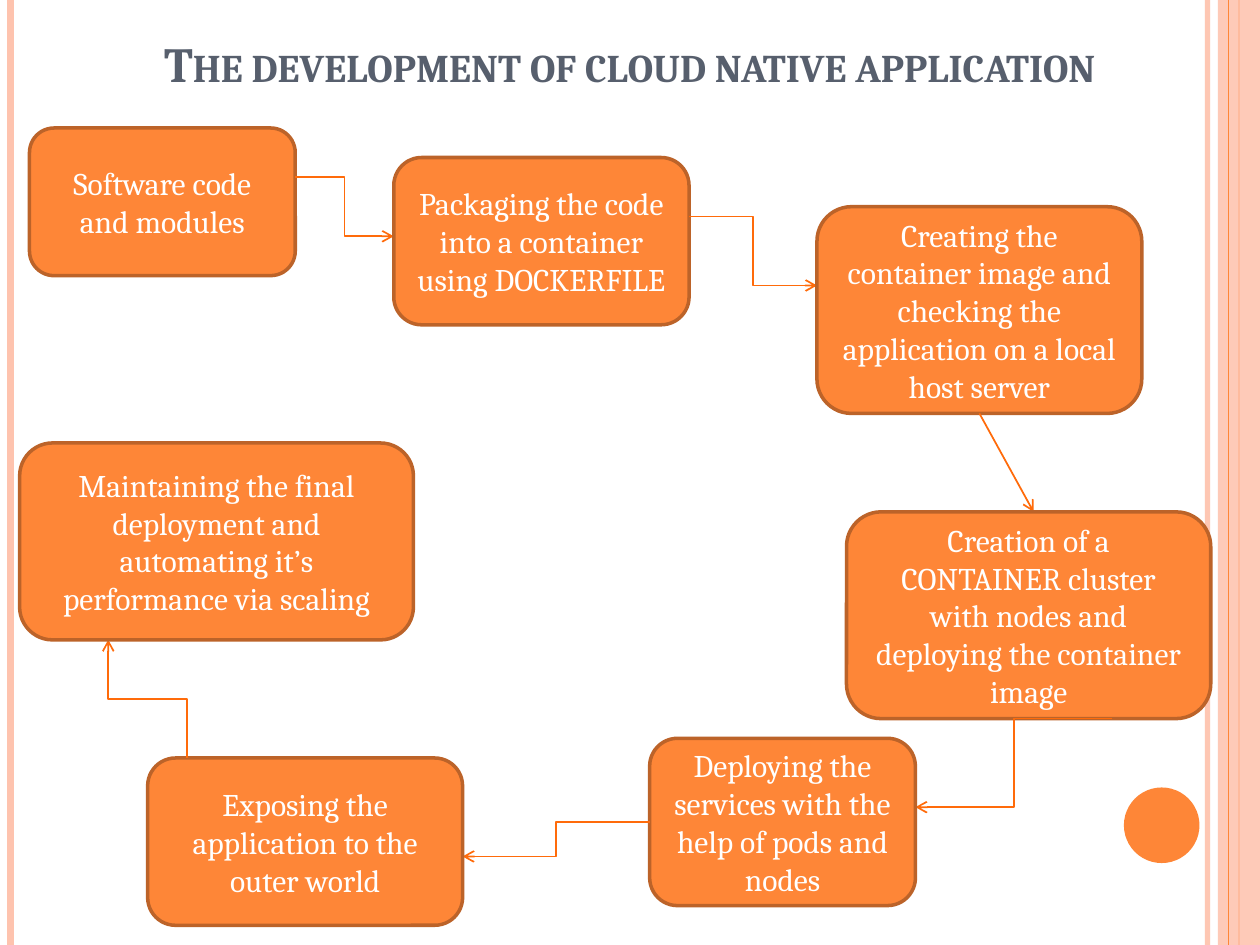
from dataclasses import dataclass

from pptx import Presentation
from pptx.dml.color import RGBColor
from pptx.enum.shapes import MSO_CONNECTOR, MSO_SHAPE
from pptx.enum.text import MSO_ANCHOR, PP_ALIGN
from pptx.oxml.ns import qn
from pptx.util import Pt
from lxml import etree

STRAIGHT, ELBOW = MSO_CONNECTOR.STRAIGHT, MSO_CONNECTOR.ELBOW
RECT, OVAL, ROUND = MSO_SHAPE.RECTANGLE, MSO_SHAPE.OVAL, MSO_SHAPE.ROUNDED_RECTANGLE
CENTER, MIDDLE, BOTTOM = PP_ALIGN.CENTER, MSO_ANCHOR.MIDDLE, MSO_ANCHOR.BOTTOM


@dataclass(frozen=True)
class Theme:
    font: str = "Cambria"
    head: int = 28
    body: int = 18
    ink: str = "575F6D"
    white: str = "FFFFFF"
    main: str = "FE8637"
    edge: str = "BC6329"
    link: str = "FF6B0A"
    pale: str = "FEC3AE"


THEME = Theme()
GRID = 45 / 8  # points per grid step of the flow

# Step text with left, top, width, height in grid steps
STEPS = [
    ("Software code and modules", 3, 13, 27, 15),
    ("Packaging the code into a container using DOCKERFILE", 40, 16, 30, 17),
    ("Creating the container image and checking the application on a local host server",
     83, 21, 33, 21),
    ("Creation of a CONTAINER cluster with nodes and deploying the container image",
     86, 52, 37, 21),
    ("Deploying the services with the help of pods and nodes", 66, 75, 27, 17),
    ("Exposing the application to the outer world", 15, 77, 32, 17),
    ("Maintaining the final deployment and automating it’s performance via scaling",
     2, 45, 40, 20),
]

# Link after each step: kind, turned upright, start and end in grid steps
LINKS = [
    (ELBOW, False, 30, 18, 40, 24),
    (ELBOW, False, 70, 22, 83, 29),
    (STRAIGHT, False, 99.5, 42, 105, 52),
    (ELBOW, False, 113, 73, 93, 82),
    (ELBOW, False, 66, 83.5, 47, 87),
    (ELBOW, True, 19, 77, 11, 65),
]


def rgb(code):
    return RGBColor.from_string(code)


def fade(part, share):
    """Set the opacity of the part's colour in percent."""
    color = next(part._element.spPr.iter(qn("a:srgbClr")))
    etree.SubElement(color, qn("a:alpha"), val=str(share * 1000))


def add_line(slide, kind, ends, color, width):
    line = slide.shapes.add_connector(kind, *(Pt(v) for v in ends))
    line.line.color.rgb = rgb(color)
    line.line.width = Pt(width)
    etree.SubElement(line._element.spPr, qn("a:effectLst"))
    return line


def add_form(slide, kind, box, fill, edge=None):
    form = slide.shapes.add_shape(kind, *(Pt(v) for v in box))
    form.shadow.inherit = False
    form.fill.solid()
    form.fill.fore_color.rgb = rgb(fill)
    if edge:
        form.line.color.rgb = rgb(edge)
        form.line.width = Pt(2)
    else:
        form.line.fill.background()
    return form


def set_text(shape, text, size, color, anchor, bold=False):
    frame = shape.text_frame
    frame.word_wrap = True
    frame.vertical_anchor = anchor
    frame.text = text
    para = frame.paragraphs[0]
    para.alignment = CENTER
    run = para.runs[0]
    run.font.name, run.font.size = THEME.font, Pt(size)
    run.font.bold = bold
    run.font.color.rgb = rgb(color)
    return run


def add_link(slide, kind, upright, ends):
    x1, y1, x2, y2 = ends
    if upright:
        # Lay the ends flat about their centre; the turn stands them up again
        mid_x, mid_y = (x1 + x2) / 2, (y1 + y2) / 2
        dx, dy = abs(y2 - y1) / 2, abs(x2 - x1) / 2
        ends = mid_x - dx, mid_y + dy, mid_x + dx, mid_y - dy
    link = add_line(slide, kind, ends, THEME.link, 1)
    if upright:
        link._element.spPr.find(qn("a:xfrm")).set("rot", str(270 * 60000))
    stroke = link._element.spPr.find(qn("a:ln"))
    etree.SubElement(stroke, qn("a:tailEnd"), type="arrow")


def add_frame(slide, left, top, width, height):
    """Side rails, right band and dot."""
    def rail(x, color, size):
        ends = left + x, top, left + x, top + height
        return add_line(slide, STRAIGHT, ends, color, size)

    fade(rail(width - 30, THEME.pale, 3), 93)
    rail(6, THEME.pale, 4.5)
    rail(width - 12, THEME.main, 1.5)
    band = add_form(slide, RECT, (left + width - 24, top, 24, height), THEME.pale)
    fade(band, 87)
    rail(width - 18, THEME.main, 0.75)
    dot = left + width - 77.75, top + height - 90, 43.2, 43.2
    add_form(slide, OVAL, dot, THEME.main)


def add_title(slide, left, top, width, height):
    box = slide.shapes.add_textbox(Pt(left), Pt(top), Pt(width), Pt(height))
    run = set_text(box, "The development of cloud native application",
                   THEME.head, THEME.ink, BOTTOM, bold=True)
    run.font._element.set("cap", "small")


def add_flow(slide, left, top):
    """Steps in order, each followed by its link to the next."""
    def place(x, y):
        return left + x * GRID, top + y * GRID

    for i, (text, x, y, wide, high) in enumerate(STEPS):
        box = *place(x, y), wide * GRID, high * GRID
        step = add_form(slide, ROUND, box, THEME.main, THEME.edge)
        set_text(step, text, THEME.body, THEME.white, MIDDLE)
        if i < len(LINKS):
            kind, upright, x1, y1, x2, y2 = LINKS[i]
            add_link(slide, kind, upright, (*place(x1, y1), *place(x2, y2)))


def main():
    deck = Presentation()
    deck.slide_width, deck.slide_height = Pt(720), Pt(540)
    slide = deck.slides.add_slide(deck.slide_layouts[6])
    add_frame(slide, 0, 0, 720, 540)
    add_title(slide, 0, 0, 720, 56.25)
    add_flow(slide, 0, 0)
    deck.save("out.pptx")


if __name__ == "__main__":
    main()
